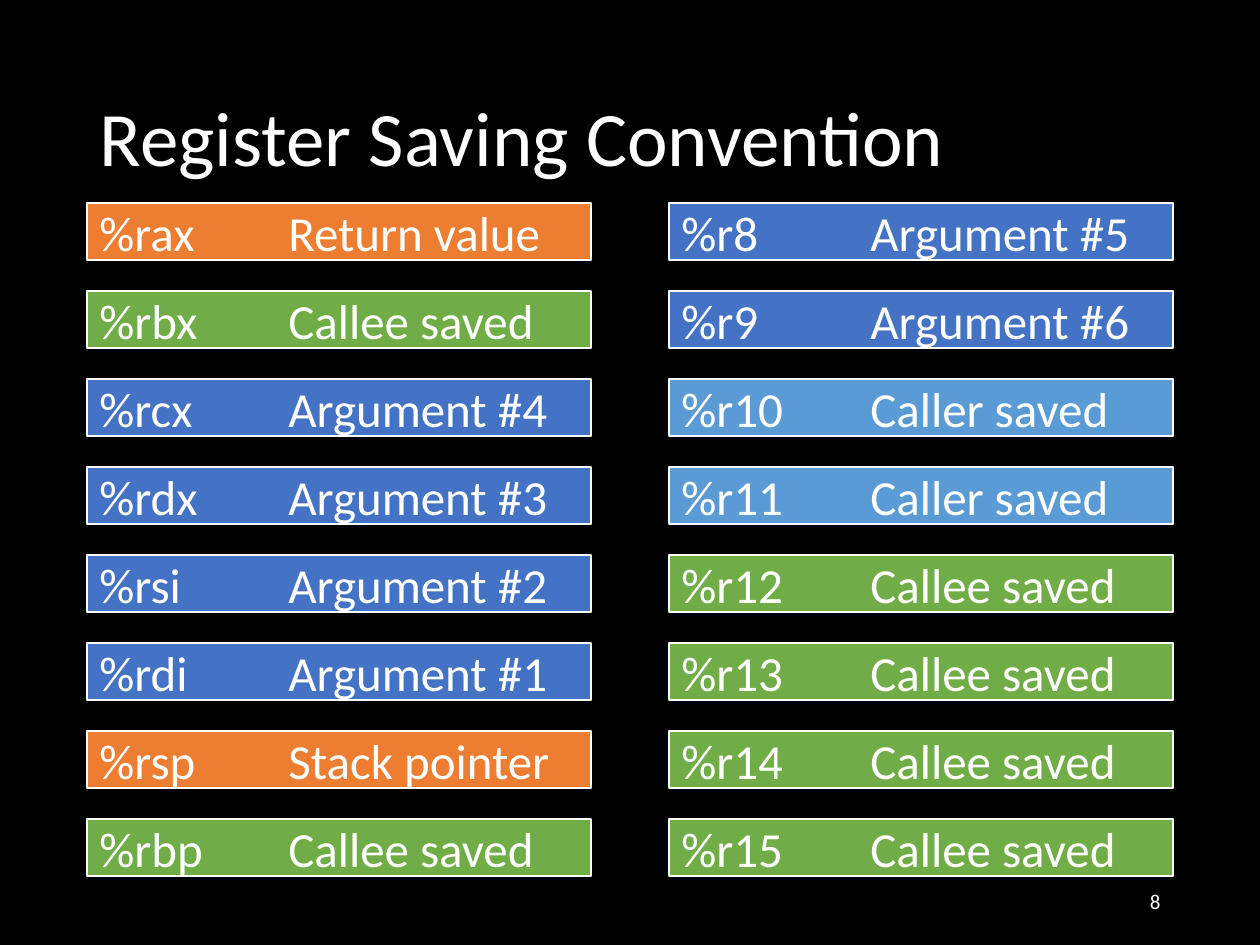
from lxml import etree
from pptx import Presentation
from pptx.dml.color import RGBColor
from pptx.enum import shapes, text
from pptx.oxml.ns import qn
from pptx.util import Emu, Pt

TITLE = "Register Saving Convention"
PAGE_NUMBER = "8"
WHITE, BLACK = "FFFFFF", "000000"
ORANGE, GREEN, BLUE, LIGHT_BLUE = "ED7D31", "70AD47", "4472C4", "5B9BD5"

# Role of each register and the colour that marks its kind
COLUMNS = [
    [
        ("%rax", "Return value", ORANGE),
        ("%rbx", "Callee saved", GREEN),
        ("%rcx", "Argument #4", BLUE),
        ("%rdx", "Argument #3", BLUE),
        ("%rsi", "Argument #2", BLUE),
        ("%rdi", "Argument #1", BLUE),
        ("%rsp", "Stack pointer", ORANGE),
        ("%rbp", "Callee saved", GREEN),
    ],
    [
        ("%r8", "Argument #5", BLUE),
        ("%r9", "Argument #6", BLUE),
        ("%r10", "Caller saved", LIGHT_BLUE),
        ("%r11", "Caller saved", LIGHT_BLUE),
        ("%r12", "Callee saved", GREEN),
        ("%r13", "Callee saved", GREEN),
        ("%r14", "Callee saved", GREEN),
        ("%r15", "Callee saved", GREEN),
    ],
]

# Layout in px
LEFT, TOP = 87, 203
BOX_WIDTH, BOX_HEIGHT = 504, 57
COLUMN_STEP, ROW_STEP = 582, 88
TAB_STOPS = (126, 189)


def px(length):
    return Emu(round(length * 914400 / 126))


def color(value):
    return RGBColor.from_string(value)


def write(box, words, size, align):
    frame = box.text_frame
    frame.text = words
    frame.word_wrap = True
    frame.auto_size = text.MSO_AUTO_SIZE.NONE
    frame.vertical_anchor = text.MSO_ANCHOR.MIDDLE
    para = frame.paragraphs[0]
    para.alignment = align
    for span in para.runs:
        span.font.name = "Calibri"
        span.font.size = Pt(size)
        span.font.color.rgb = color(WHITE)
    return para


def add_tab_stops(para):
    tabs = etree.SubElement(para._p.get_or_add_pPr(), qn("a:tabLst"))
    for stop in TAB_STOPS:
        etree.SubElement(tabs, qn("a:tab"), pos=str(px(stop)), algn="l")


def add_register(page, left, top, name, role, fill):
    box = page.shapes.add_shape(
        shapes.MSO_SHAPE.RECTANGLE, px(left), px(top), px(BOX_WIDTH), px(BOX_HEIGHT)
    )
    box.shadow.inherit = False
    box.fill.solid()
    box.fill.fore_color.rgb = color(fill)
    box.line.color.rgb = color(WHITE)
    box.line.width = Pt(1.5)
    add_tab_stops(write(box, f"{name}\t\t{role}", 28, text.PP_ALIGN.LEFT))


def main():
    deck = Presentation()
    deck.slide_width, deck.slide_height = px(1260), px(945)
    page = deck.slides.add_slide(deck.slide_layouts[5])
    page.background.fill.solid()
    page.background.fill.fore_color.rgb = color(BLACK)

    # Title
    title = page.shapes.title
    title.left, title.top, title.width, title.height = map(px, (LEFT, 50, 1086, 183))
    write(title, TITLE, 44, text.PP_ALIGN.LEFT).line_spacing = 0.9

    # Page number
    number = page.shapes.add_textbox(*map(px, (890, 876, 283, 50)))
    write(number, PAGE_NUMBER, 12, text.PP_ALIGN.RIGHT)

    # Registers in two columns
    for column, registers in enumerate(COLUMNS):
        for row, register in enumerate(registers):
            left = LEFT + column * COLUMN_STEP
            add_register(page, left, TOP + row * ROW_STEP, *register)

    deck.save("out.pptx")


if __name__ == "__main__":
    main()
